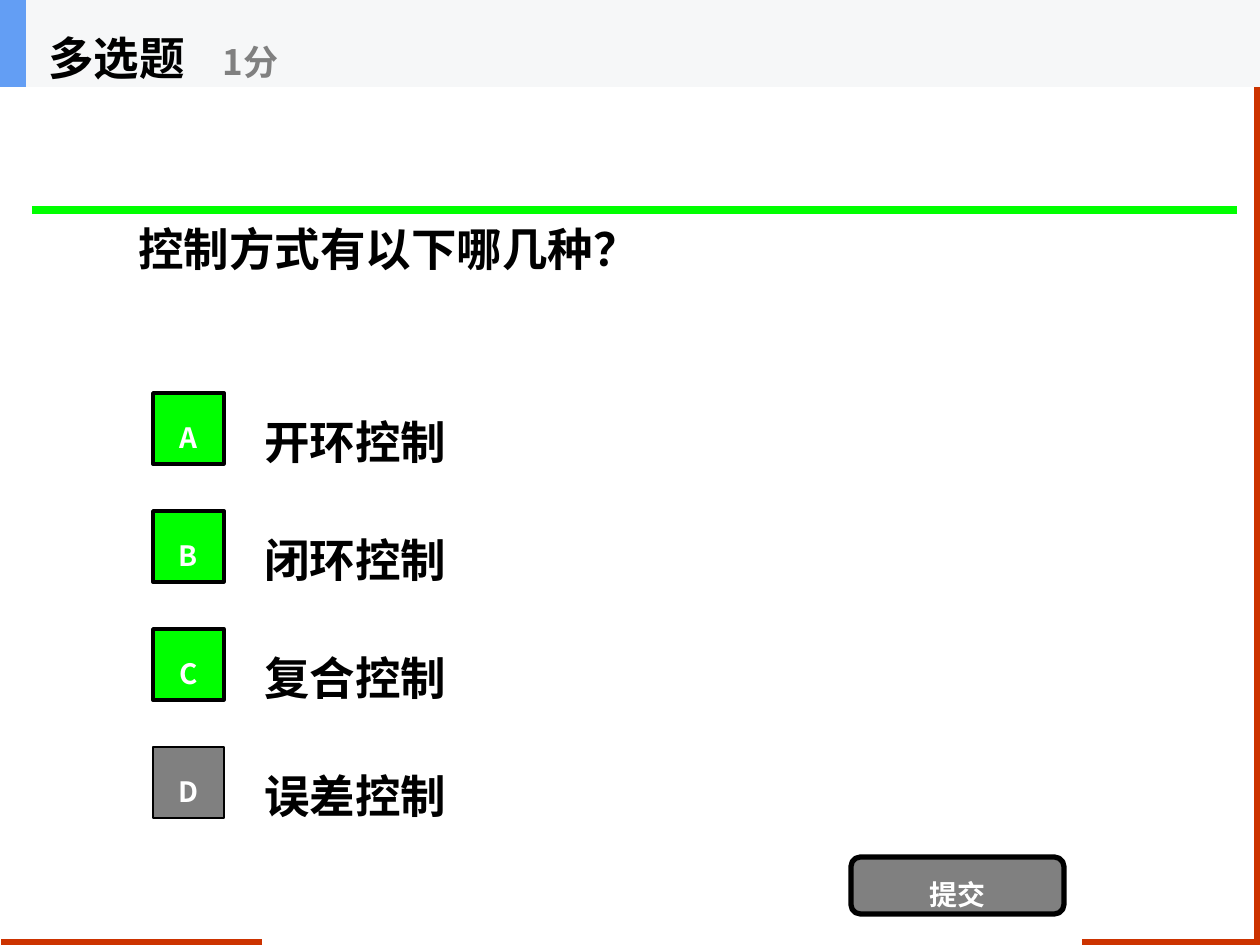
from pptx import Presentation
from pptx import util as u
from pptx.dml.color import RGBColor
from pptx.enum import shapes, text
from pptx.oxml import ns
from lxml import etree

SCALE = 914400 / 126
FONT = "Noto Sans CJK SC"
BLACK, WHITE, GRAY = "000000", "FFFFFF", "808080"
RED, GREEN = "CC3300", "00FF00"
OPTIONS = [
    ("A", "开环控制", True),
    ("B", "闭环控制", True),
    ("C", "复合控制", True),
    ("D", "误差控制", False),
]
FIRST_OPTION_TOP, OPTION_PITCH = 384, 118


def px(length):
    return u.Emu(round(length * SCALE))


def color(value):
    return RGBColor.from_string(value)


def add_line(slide, start, end, line_color, width):
    line = slide.shapes.add_connector(
        shapes.MSO_CONNECTOR.STRAIGHT, *map(px, start + end))
    line.line.color.rgb = color(line_color)
    line.line.width = u.Pt(width)
    properties = line._element.spPr
    etree.SubElement(properties, ns.qn("a:effectLst"))


def write(shape, words, size, text_color, align, wrap=True):
    frame = shape.text_frame
    frame.word_wrap = wrap
    frame.vertical_anchor = text.MSO_ANCHOR.MIDDLE
    paragraph = frame.paragraphs[0]
    paragraph.alignment = align
    paragraph.line_spacing = 1.5
    run = paragraph.add_run()
    run.text = words
    run.font.name = FONT
    run.font.size = u.Pt(size)
    run.font.bold = True
    run.font.color.rgb = color(text_color)
    east_asian = etree.SubElement(run.font._element, ns.qn("a:ea"))
    east_asian.set("typeface", FONT)


def add_text(slide, box, words, size=26, text_color=BLACK, wrap=True):
    shape = slide.shapes.add_textbox(*map(px, box))
    write(shape, words, size, text_color, text.PP_ALIGN.JUSTIFY, wrap)


def add_box(slide, box, fill, line_width=0, words="",
            kind=shapes.MSO_SHAPE.RECTANGLE):
    shape = slide.shapes.add_shape(kind, *map(px, box))
    shape.shadow.inherit = False
    shape.fill.solid()
    shape.fill.fore_color.rgb = color(fill)
    if line_width:
        shape.line.color.rgb = color(BLACK)
        shape.line.width = u.Pt(line_width)
    else:
        shape.line.fill.background()
    if words:
        write(shape, words, 16, WHITE, text.PP_ALIGN.CENTER)


def add_frame(slide):
    add_line(slide, (262, 942), (1, 942), RED, 3)
    add_line(slide, (1257, 945), (1257, 0), RED, 3)
    add_line(slide, (1255, 942), (1082, 942), RED, 3)
    add_line(slide, (32, 210), (1237, 210), GREEN, 4.5)


def add_options(slide):
    for index, (letter, answer, correct) in enumerate(OPTIONS):
        top = FIRST_OPTION_TOP + index * OPTION_PITCH
        add_text(slide, (252, top, 882, 88), answer)
        fill, line_width = (GREEN, 2) if correct else (GRAY, 1)
        add_box(slide, (153, top + 9, 71, 71), fill, line_width, letter)


def add_header(slide):
    add_box(slide, (0, 0, 1260, 87), "F6F7F8")
    add_box(slide, (0, 0, 26, 87), "639EF4")
    add_text(slide, (36, 0, 262, 87), "多选题", wrap=False)
    add_text(slide, (210, 15, 315, 71), "1分", 20, GRAY, wrap=False)


def main():
    presentation = Presentation()
    presentation.slide_width = px(1260)
    presentation.slide_height = px(945)
    slide = presentation.slides.add_slide(presentation.slide_layouts[6])
    add_frame(slide)
    add_text(slide, (126, 87, 1008, 295), "控制方式有以下哪几种？")
    add_options(slide)
    add_box(slide, (851, 857, 213, 57), GRAY, 3, "提交",
            shapes.MSO_SHAPE.ROUNDED_RECTANGLE)
    add_header(slide)
    presentation.save("out.pptx")


if __name__ == "__main__":
    main()
